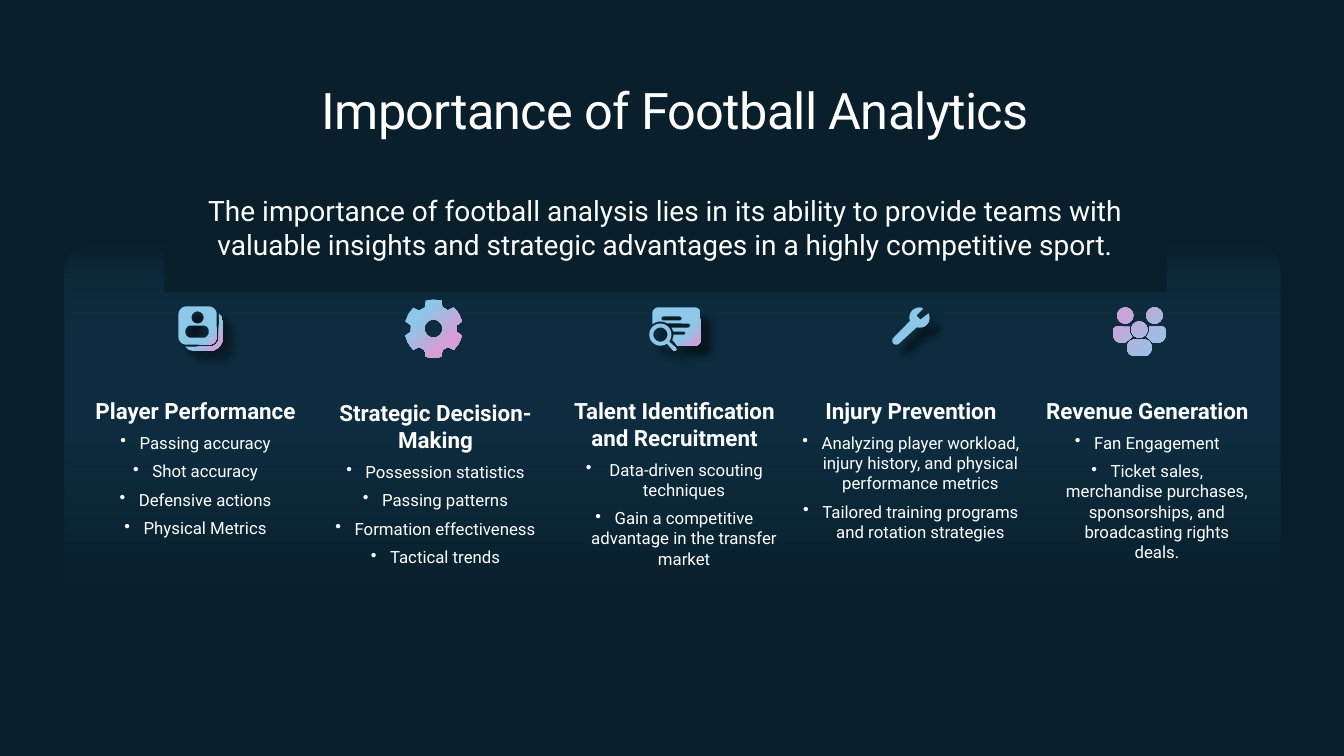
from dataclasses import dataclass
from itertools import chain
from math import cos, radians, sin

from lxml import etree
from pptx import Presentation
from pptx import util as u
from pptx.dml.color import RGBColor
from pptx.enum import shapes, text
from pptx.oxml import parse_xml
from pptx.oxml.ns import nsdecls, qn

COLORS = {"night": "091F2C", "panel": "113A52", "text": "FFFFFF",
          "pink": "D59ED7", "sky": "8DC8E8", "shadow": "000000"}
FONT = "Roboto"
Points = list[tuple[float, float]]


@dataclass
class Stop:
    position: int
    color: str
    alpha: int = 100


@dataclass
class Icon:
    contours: list[Points]
    stops: list[Stop]
    shadow: bool = False


@dataclass
class Benefit:
    heading: str
    items: list[str]
    left: float
    top: float
    width: float
    height: float
    icon: Icon


# Outline geometry, in inches and degrees (clockwise from the right)
def arc(cx: float, cy: float, r: float, start: float, end: float) -> Points:
    steps = max(2, round(abs(end - start) / 10))
    angles = [radians(start + (end - start) * i / steps) for i in range(steps + 1)]
    return [(cx + r * cos(a), cy + r * sin(a)) for a in angles]


def circle(cx: float, cy: float, r: float) -> Points:
    return arc(cx, cy, r, 0, 360)


def round_rect(x1: float, y1: float, x2: float, y2: float, r: float) -> Points:
    corners = [(x1 + r, y1 + r, 180), (x2 - r, y1 + r, 270),
               (x2 - r, y2 - r, 0), (x1 + r, y2 - r, 90)]
    return list(chain.from_iterable(arc(x, y, r, a, a + 90) for x, y, a in corners))


def gear(cx: float, cy: float, teeth: int) -> Points:
    profile = [(-22, 0.23), (-16, 0.29), (0, 0.29), (16, 0.29), (22, 0.23)]
    return [(cx + r * cos(radians(a)), cy + r * sin(radians(a)))
            for tooth in range(teeth)
            for a, r in ((tooth * 360 / teeth - 90 + da, r) for da, r in profile)]


def mirror(points: Points, axis: float) -> Points:
    return [(2 * axis - x, y) for x, y in points]


# Icons
pink_corner = [Stop(10, "pink"), Stop(35, "sky")]
player_cards = Icon([
    round_rect(1.77, 3.04, 2.15, 3.42, 0.08),
    circle(1.96, 3.15, 0.06),
    round_rect(1.84, 3.23, 2.07, 3.35, 0.05),
    [(2.17, 3.11), (2.2, 3.14), (2.21, 3.18), *arc(2.08, 3.35, 0.13, 0, 90),
     (1.91, 3.48), (1.87, 3.47), (1.84, 3.44), *arc(2.08, 3.35, 0.09, 90, 0)],
], pink_corner, True)
strategy_gear = Icon([gear(4.3, 3.26, 6), circle(4.3, 3.26, 0.09)],
                     [Stop(27, "pink"), Stop(72, "sky")])
talent_search = Icon([
    circle(6.55, 3.32, 0.07),
    [*arc(6.55, 3.32, 0.11, 55, 398), (6.7, 3.45), (6.71, 3.47), (6.69, 3.48), (6.68, 3.48)],
    round_rect(6.56, 3.14, 6.76, 3.18, 0.02),
    [*arc(6.53, 3.11, 0.06, 180, 270), *arc(6.89, 3.11, 0.06, 270, 360),
     *arc(6.89, 3.37, 0.06, 0, 90), (6.72, 3.43), *arc(6.55, 3.32, 0.13, 25, 0),
     (6.79, 3.32), (6.8, 3.31), (6.79, 3.29), (6.68, 3.29), (6.66, 3.25),
     (6.83, 3.25), (6.85, 3.23), (6.83, 3.21), *arc(6.55, 3.32, 0.13, -58, -128)],
], pink_corner, True)
injury_wrench = Icon([
    [*arc(9.12, 3.15, 0.1, -70, -200), *arc(8.89, 3.38, 0.04, 225, 45),
     *arc(9.12, 3.15, 0.1, 105, -25), (9.13, 3.17), (9.09, 3.13), (9.15, 3.07)],
], pink_corner, True)
side_fan = [*arc(11.08, 3.28, 0.04, 180, 270), *arc(11.3, 3.27, 0.1, 195, 135),
            (11.16, 3.4), *arc(11.12, 3.32, 0.08, 90, 180)]
fan_group = Icon([
    circle(11.16, 3.13, 0.08), circle(11.45, 3.13, 0.08), circle(11.3, 3.27, 0.08),
    side_fan, mirror(side_fan, 11.3), round_rect(11.18, 3.37, 11.42, 3.53, 0.07),
], [Stop(0, "sky"), Stop(100, "pink")])

BENEFITS = [
    Benefit("Player Performance",
            ["Passing accuracy", "Shot accuracy", "Defensive actions", "Physical Metrics"],
            0.92, 3.94, 2.04, 1.41, player_cards),
    Benefit("Strategic Decision-Making",
            ["Possession statistics", "Passing patterns", "Formation effectiveness",
             "Tactical trends"],
            3.3, 3.96, 2.04, 1.68, strategy_gear),
    Benefit("Talent Identification and Recruitment",
            [" Data-driven scouting techniques",
             "Gain a competitive advantage in the transfer market"],
            5.52, 3.94, 2.34, 2, talent_search),
    Benefit("Injury Prevention",
            ["Analyzing player workload, injury history, and physical performance metrics",
             "Tailored training programs and rotation strategies"],
            7.9, 3.94, 2.27, 1.45, injury_wrench),
    Benefit("Revenue Generation",
            ["Fan Engagement",
             "Ticket sales, merchandise purchases, sponsorships, and broadcasting rights deals."],
            10.36, 3.94, 2.04, 1.45, fan_group),
]


# Formatting
def rgb(name: str) -> RGBColor:
    return RGBColor.from_string(COLORS[name])


def apply_format(target, values: dict) -> None:
    for name, value in values.items():
        setattr(target, name, value)


def place(shape, left: float, top: float, width: float, height: float) -> None:
    apply_format(shape, {"left": u.Inches(left), "top": u.Inches(top),
                         "width": u.Inches(width), "height": u.Inches(height)})


def prepare_frame(frame) -> None:
    apply_format(frame, {"word_wrap": True, "auto_size": text.MSO_AUTO_SIZE.NONE,
                         "vertical_anchor": text.MSO_ANCHOR.TOP, "margin_left": 0,
                         "margin_right": 0, "margin_top": 0, "margin_bottom": 0})


def write(paragraph, words: str, size: int, align=text.PP_ALIGN.CENTER,
          bold: bool = False, bullet: bool = False, after: int = 0):
    props = paragraph._p.get_or_add_pPr()
    indent = u.Inches(0.19) if bullet else 0
    props.set("marL", str(indent))
    props.set("indent", str(-indent))
    mark = etree.SubElement(props, qn("a:buChar" if bullet else "a:buNone"))
    if bullet:
        mark.set("char", "•")
    apply_format(paragraph, {"alignment": align, "space_before": u.Pt(0),
                             "space_after": u.Pt(after)})
    run = paragraph.add_run()
    run.text = words
    apply_format(run.font, {"name": FONT, "size": u.Pt(size), "bold": bold})
    run.font.color.rgb = rgb("text")
    return run


def fill_gradient(shape, stops: list[Stop], direction: str) -> None:
    marks = "".join(
        f'<a:gs pos="{s.position * 1000}"><a:srgbClr val="{COLORS[s.color]}">'
        f'<a:alpha val="{s.alpha * 1000}"/></a:srgbClr></a:gs>' for s in stops)
    gradient = parse_xml(f'<a:gradFill {nsdecls("a")} rotWithShape="1">'
                         f'<a:gsLst>{marks}</a:gsLst>{direction}</a:gradFill>')
    shape._element.spPr.insert(2, gradient)
    shape.line.fill.background()
    shape.shadow.inherit = False


def draw_icon(slide, icon: Icon) -> None:
    outlines = [[(u.Inches(x), u.Inches(y)) for x, y in c] for c in icon.contours]
    builder = slide.shapes.build_freeform(*outlines[0][0], scale=1.0)
    for i, outline in enumerate(outlines):
        if i:
            builder.move_to(*outline[0])
        builder.add_line_segments(outline[1:], close=True)
    shape = builder.convert_to_shape()
    fill_gradient(shape, icon.stops,
                  '<a:path path="circle"><a:fillToRect l="100000" t="100000"/></a:path>')
    if icon.shadow:
        shape._element.spPr.find(qn("a:effectLst")).append(parse_xml(
            f'<a:outerShdw {nsdecls("a")} blurRad="{u.Pt(5)}" dist="{u.Pt(10)}" '
            f'dir="2700000" algn="tl" rotWithShape="0"><a:srgbClr val="{COLORS["shadow"]}">'
            '<a:alpha val="50000"/></a:srgbClr></a:outerShdw>'))


def draw_benefit(slide, benefit: Benefit) -> None:
    column = slide.shapes.add_textbox(0, 0, 0, 0)
    place(column, benefit.left, benefit.top, benefit.width, benefit.height)
    prepare_frame(column.text_frame)
    write(column.text_frame.paragraphs[0], benefit.heading, 16, bold=True, after=6)
    for item in benefit.items:
        write(column.text_frame.add_paragraph(), item, 12, bullet=True, after=6)
    draw_icon(slide, benefit.icon)


def main() -> None:
    deck = Presentation()
    apply_format(deck, {"slide_width": u.Inches(13.33), "slide_height": u.Inches(7.5)})
    slide = deck.slides.add_slide(deck.slide_layouts[1])
    slide.background.fill.solid()
    slide.background.fill.fore_color.rgb = rgb("night")

    # Title and statement
    title, statement = slide.shapes.title, slide.placeholders[1]
    place(title, 3.19, 0.78, 7.44, 0.61)
    prepare_frame(title.text_frame)
    heading = write(title.text_frame.paragraphs[0], "Importance of Football Analytics", 36,
                    text.PP_ALIGN.LEFT)
    heading.font._element.set("spc", "-50")
    place(statement, 1.63, 1.92, 9.94, 0.98)
    statement.fill.solid()
    statement.fill.fore_color.rgb = rgb("night")
    prepare_frame(statement.text_frame)
    write(statement.text_frame.paragraphs[0],
          "The importance of football analysis lies in its ability to provide teams with "
          "valuable insights and strategic advantages in a highly competitive sport.", 20)

    # Fading panel, behind the statement
    panel = slide.shapes.add_shape(shapes.MSO_SHAPE.ROUND_2_SAME_RECTANGLE, 0, 0, 0, 0)
    place(panel, 0.64, 2.39, 12.06, 3.51)
    panel.adjustments[0], panel.adjustments[1] = 0.09, 0
    fill_gradient(panel, [Stop(0, "night"), Stop(24, "panel", 50), Stop(56, "panel", 50),
                          Stop(100, "panel", 0)], '<a:lin ang="5400000" scaled="0"/>')
    slide.shapes._spTree.insert(2, panel._element)

    # Benefit columns
    for benefit in BENEFITS:
        draw_benefit(slide, benefit)
    deck.save("out.pptx")


if __name__ == "__main__":
    main()
